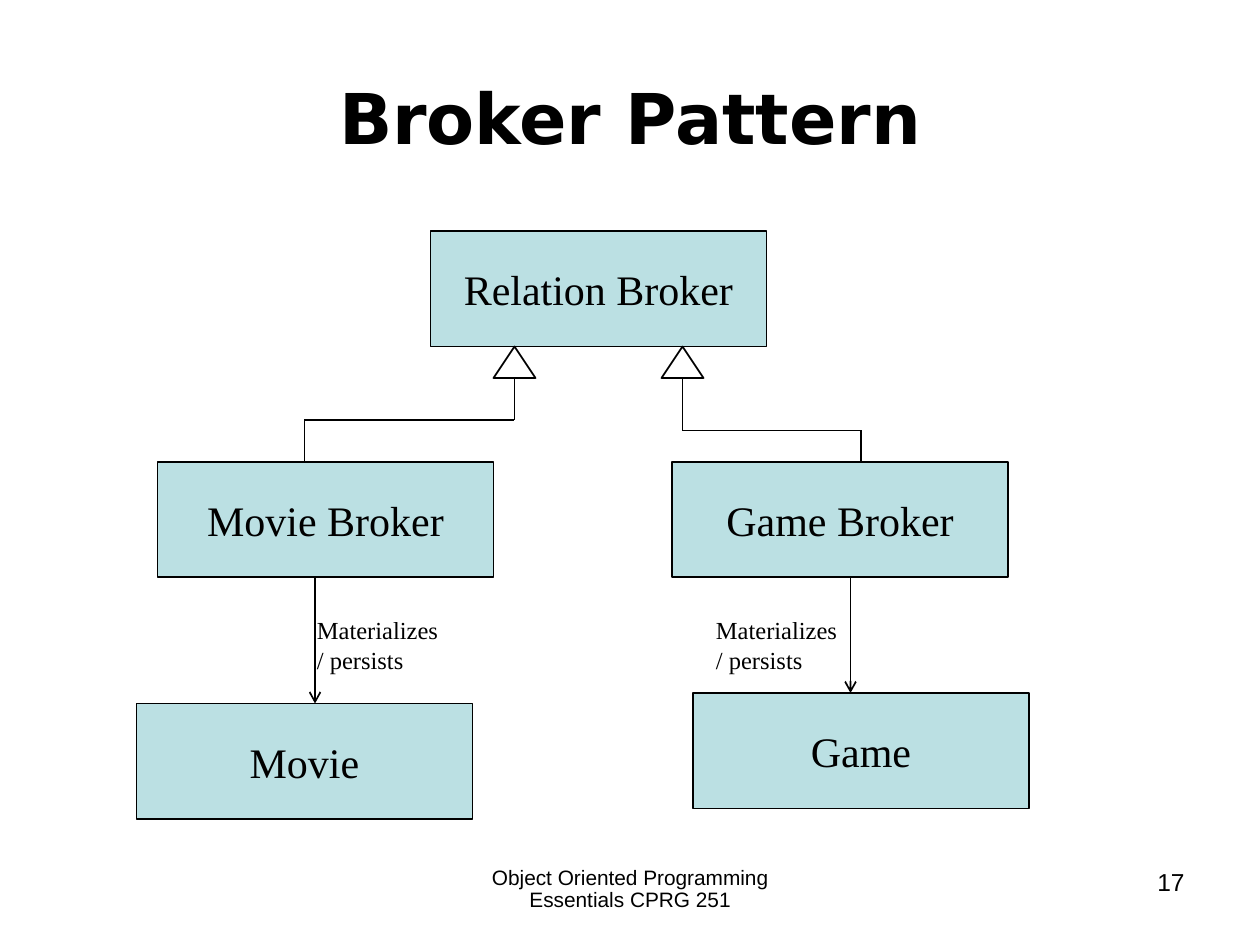
from dataclasses import dataclass

from lxml import etree
from pptx import Presentation
from pptx import util as u
from pptx.dml.color import RGBColor
from pptx.enum import shapes, text
from pptx.oxml.ns import qn

PX = u.Inches(1) // 120  # 120 px to the inch
BLACK, WHITE, TEAL = "000000", "FFFFFF", "BBE0E3"
SERIF, SANS = "Times New Roman", "Arial"
BOX_W, BOX_H = 320, 110
TRI_W, TRI_H = 40, 30


@dataclass
class Box:
    label: str
    x: int
    y: int


@dataclass
class Label:
    words: str
    x: int
    y: int
    w: int
    h: int
    size: float
    font: str
    align: text.PP_ALIGN
    line_spacing: float = 1.0
    space_before: float = 0


def rgb(color: str) -> RGBColor:
    return RGBColor.from_string(color)


def px(*lengths: int) -> list[int]:
    return [n * PX for n in lengths]


def style_text(tf, words: str, size: float, font: str, align, bold=False):
    tf.text = words
    p = tf.paragraphs[0]
    p.alignment = align
    p.font.size, p.font.name, p.font.bold = u.Pt(size), font, bold
    p.font.color.rgb = rgb(BLACK)
    return p


def add_outlined(s, kind, x: int, y: int, w: int, h: int, fill: str):
    sp = s.shapes.add_shape(kind, *px(x, y, w, h))
    sp.shadow.inherit = False
    sp.fill.solid()
    sp.fill.fore_color.rgb = rgb(fill)
    sp.line.color.rgb = rgb(BLACK)
    sp.line.width = u.Pt(1)
    return sp


def add_box(s, box: Box) -> None:
    sp = add_outlined(s, shapes.MSO_SHAPE.RECTANGLE, box.x, box.y, BOX_W, BOX_H, TEAL)
    tf = sp.text_frame
    tf.word_wrap = False
    tf.vertical_anchor = text.MSO_ANCHOR.MIDDLE
    style_text(tf, box.label, 24, SERIF, text.PP_ALIGN.CENTER)


def add_line(s, x1: int, y1: int, x2: int, y2: int, arrow: bool = False) -> None:
    c = s.shapes.add_connector(shapes.MSO_CONNECTOR.STRAIGHT, *px(x1, y1, x2, y2))
    c.line.color.rgb = rgb(BLACK)
    c.line.width = u.Pt(1)
    if arrow:
        etree.SubElement(c.line._get_or_add_ln(), qn("a:tailEnd"), type="arrow")
    etree.SubElement(c._element.spPr, qn("a:effectLst"))


def add_inheritance(s, child_x: int, child_y: int, bend_y: int, parent_x: int, parent_y: int) -> None:
    """Hollow triangle under the parent and a stepped line down to the child."""
    add_outlined(s, shapes.MSO_SHAPE.ISOSCELES_TRIANGLE,
                 parent_x - TRI_W // 2, parent_y, TRI_W, TRI_H, WHITE)
    points = [(child_x, child_y), (child_x, bend_y), (parent_x, bend_y), (parent_x, parent_y + TRI_H)]
    for start, end in zip(points, points[1:]):
        add_line(s, *start, *end)


def add_label(s, label: Label) -> None:
    tf = s.shapes.add_textbox(*px(label.x, label.y, label.w, label.h)).text_frame
    tf.word_wrap = True
    p = style_text(tf, label.words, label.size, label.font, label.align)
    p.line_spacing = label.line_spacing
    p.space_before = u.Pt(label.space_before)


def main() -> None:
    prs = Presentation()
    prs.slide_width, prs.slide_height = px(1200, 900)
    s = prs.slides.add_slide(prs.slide_layouts[5])

    # Title
    title = s.shapes.title
    title.left, title.top, title.width, title.height = px(60, 36, 1080, 150)
    title.text_frame.vertical_anchor = text.MSO_ANCHOR.MIDDLE
    style_text(title.text_frame, "Broker Pattern", 40, "DejaVu Sans", text.PP_ALIGN.CENTER, bold=True)

    # Classes
    relation = Box("Relation Broker", 410, 220)
    movie_broker = Box("Movie Broker", 150, 440)
    game_broker = Box("Game Broker", 640, 440)
    movie = Box("Movie", 130, 670)
    game = Box("Game", 660, 660)
    for box in (relation, movie_broker, game_broker, movie, game):
        add_box(s, box)

    # Inheritance
    parent_bottom = relation.y + BOX_H
    add_inheritance(s, 290, movie_broker.y, 400, 490, parent_bottom)
    add_inheritance(s, 820, game_broker.y, 410, 650, parent_bottom)

    # Materializing arrows and their captions
    for broker, product, arrow_x, caption_x in ((movie_broker, movie, 300, 290),
                                                (game_broker, game, 810, 670)):
        add_line(s, arrow_x, broker.y + BOX_H, arrow_x, product.y, arrow=True)
        add_label(s, Label("Materializes / persists", caption_x, 580, 150, 110, 14, SERIF,
                           text.PP_ALIGN.LEFT, space_before=8.8))

    # Footer and slide number
    add_label(s, Label("Object Oriented Programming Essentials CPRG 251", 410, 820, 380, 62,
                       11.9, SANS, text.PP_ALIGN.CENTER, line_spacing=0.9))
    add_label(s, Label("17", 860, 820, 280, 62, 14, SANS, text.PP_ALIGN.RIGHT))

    prs.save("out.pptx")


if __name__ == "__main__":
    main()
